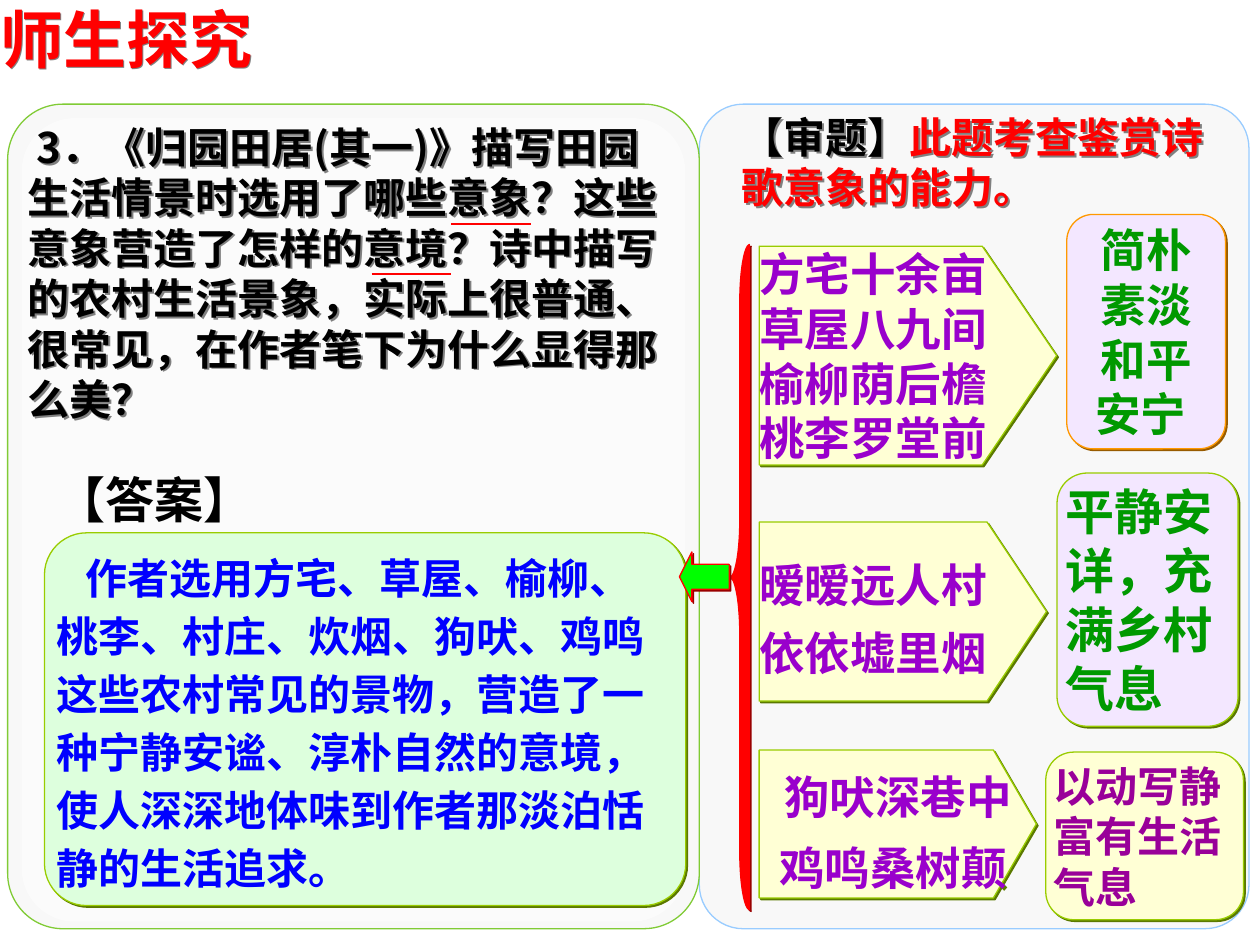
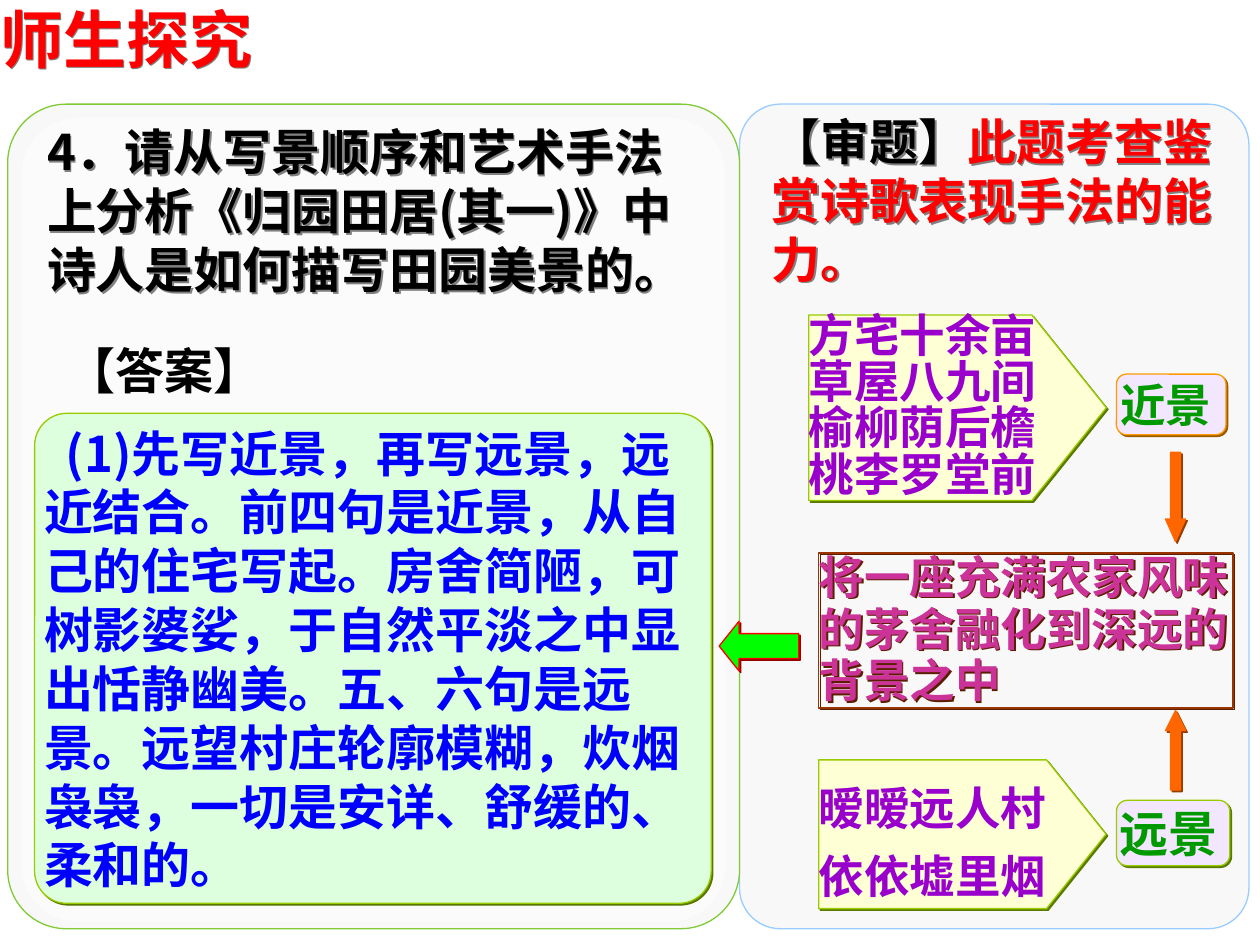
from lxml import etree
from pptx import Presentation
from pptx.dml.color import RGBColor
from pptx.enum.shapes import MSO_CONNECTOR, MSO_SHAPE
from pptx.enum.text import MSO_ANCHOR, MSO_AUTO_SIZE, PP_ALIGN
from pptx.oxml.ns import qn
from pptx.util import Pt

COLORS = {
    "red": "FF0000", "black": "000000", "white": "FFFFFF", "blue": "0000FF",
    "panel": "F8F8F8", "panel_green": "80CB35", "panel_blue": "99CCFF",
    "mint": "DDFFDD", "cream": "FFFFD5", "lilac": "F3E7FF",
    "olive": "99CC00", "olive_shadow": "5B7900",
    "amber": "FF9900", "amber_shadow": "985B00",
    "orange": "FF6600", "orange_shadow": "983C00",
    "brown": "993300", "brown_shadow": "5B1E00",
    "lime": "00FF00", "red_shadow": "990000", "text_shadow": "808080",
    "purple": "9900CC", "plum": "990099", "green": "009900", "pink": "CC3399",
}
LATIN, CHINESE = "Arial", "Noto Sans CJK SC"
NEAR_VERSES = ["方宅十余亩", "草屋八九间", "榆柳荫后檐", "桃李罗堂前"]
FAR_VERSES = ["暧暧远人村", "依依墟里烟"]


def rgb(name):
    return RGBColor.from_string(COLORS[name])


def add_shadow(shape, color):
    """Give a shape a hard shadow, down and to the right; unfilled, its text casts it."""
    shape.shadow.inherit = False
    effects = shape._element.spPr.find(qn("a:effectLst"))
    shadow = etree.SubElement(effects, qn("a:outerShdw"), blurRad="0", dist=str(Pt(1.4)),
                              dir="2700000", algn="ctr", rotWithShape="0")
    etree.SubElement(shadow, qn("a:srgbClr"), val=COLORS[color])


def write_text(shape, paragraphs, size=24, color="black", font=CHINESE, align=PP_ALIGN.LEFT,
               anchor=MSO_ANCHOR.MIDDLE, inset=(0, 0, 0, 0), spacing=None, indent=0,
               text_shadow=False):
    """Fill a shape; a paragraph is a string or a list of (text, color) runs."""
    frame = shape.text_frame
    frame.word_wrap = True
    frame.auto_size = MSO_AUTO_SIZE.NONE
    frame.vertical_anchor = anchor
    frame.margin_left, frame.margin_top, frame.margin_right, frame.margin_bottom = map(Pt, inset)
    if text_shadow:
        shape.fill.background()
        add_shadow(shape, "text_shadow")
    if isinstance(paragraphs, str):
        paragraphs = [paragraphs]
    for number, content in enumerate(paragraphs):
        paragraph = frame.add_paragraph() if number else frame.paragraphs[0]
        paragraph.alignment = align
        if spacing:
            paragraph.line_spacing = spacing
        properties = paragraph._p.get_or_add_pPr()
        properties.set("hangingPunct", "0")
        properties.set("indent", str(Pt(indent)))
        runs = [(content, color)] if isinstance(content, str) else content
        for text, run_color in runs:
            run = paragraph.add_run()
            run.text = text
            run.font.size, run.font.bold, run.font.name = Pt(size), True, font
            run.font.color.rgb = rgb(run_color)
            etree.SubElement(run._r.get_or_add_rPr(), qn("a:ea"), typeface=CHINESE)


class Deck:
    """Holds the presentation, its style and the current slide."""

    text_inset = (7.2, 3.6, 7.2, 3.6)
    panel_top, panel_height = 59.5, 471.2
    panel_left, panel_right = 4.4, 713.7
    panel_radius = 0.08

    def __init__(self):
        self.presentation = Presentation()
        self.presentation.slide_width, self.presentation.slide_height = Pt(720), Pt(540)
        self.slide = None

    def new_slide(self, title, split):
        """Start a slide with its title and two panels that meet at split."""
        self.slide = self.presentation.slides.add_slide(self.presentation.slide_layouts[5])
        heading = self.slide.shapes.title
        heading.left, heading.top, heading.width, heading.height = map(Pt, (0, 0, 241, 43))
        write_text(heading, title, size=36, color="red", font=LATIN,
                   anchor=MSO_ANCHOR.TOP, text_shadow=True)
        top, height, width = self.panel_top, self.panel_height, split - self.panel_left
        self.box((split, top, self.panel_right - split, height), "panel", "panel_blue",
                 radius=self.panel_radius)
        self.box((self.panel_left, top, width, height), "panel", "panel_green",
                 radius=self.panel_radius)
        glow = self.box((self.panel_left + 8, top + 8, width - 16, height - 12), "white", None,
                        radius=self.panel_radius)
        fill_color = glow._element.spPr.find(qn("a:solidFill"))[0]
        etree.SubElement(fill_color, qn("a:alpha"), val="50000")

    def shape(self, kind, place, fill, line, shadow=None, adjustments=()):
        shape = self.slide.shapes.add_shape(kind, *map(Pt, place))
        for index, value in enumerate(adjustments):
            shape.adjustments[index] = value
        if fill:
            shape.fill.solid()
            shape.fill.fore_color.rgb = rgb(fill)
        else:
            shape.fill.background()
        if line:
            shape.line.color.rgb = rgb(line)
            shape.line.width = Pt(0.75)
        else:
            shape.line.fill.background()
        shape.shadow.inherit = False
        if shadow:
            add_shadow(shape, shadow)
        return shape

    def box(self, place, fill, line, shadow=None, radius=0.167, text=None, **style):
        box = self.shape(MSO_SHAPE.ROUNDED_RECTANGLE, place, fill, line, shadow, [radius])
        if text:
            write_text(box, text, **style)
        return box

    def answer(self, place, radius, text, **style):
        self.box(place, "mint", "olive", "olive_shadow", radius, text, color="blue", **style)

    def verses(self, place, point, lines, **style):
        """A pentagon whose tip is point long."""
        pentagon = self.shape(MSO_SHAPE.PENTAGON, place, "cream", "olive", "olive_shadow",
                              [point / min(place[2:])])
        write_text(pentagon, lines, size=26, color="purple", **style)

    def text(self, place, text, **style):
        box = self.slide.shapes.add_textbox(*map(Pt, place))
        write_text(box, text, inset=self.text_inset, **style)

    def review(self, place, text, size):
        self.text(place, [[("【审题】", "black"), (text, "red")]], size=size, font=LATIN,
                  anchor=MSO_ANCHOR.TOP, text_shadow=True)

    def answer_label(self, left, top):
        self.text((left, top, 139, 41), "【答案】", size=28, anchor=MSO_ANCHOR.TOP)

    def result_arrow(self, place, head):
        self.shape(MSO_SHAPE.LEFT_ARROW, place, "lime", "red", "red_shadow", [0.5, head])

    def scene_arrow(self, kind, top, height, head):
        self.shape(kind, (666, top, 11.5, height), "orange", "orange", "orange_shadow",
                   [0.5, head])

    def underline(self, left, top, width):
        line = self.slide.shapes.add_connector(
            MSO_CONNECTOR.STRAIGHT, *map(Pt, (left, top, left + width, top)))
        line.line.color.rgb = rgb("red")
        line.line.width = Pt(1)
        etree.SubElement(line._element.spPr, qn("a:effectLst"))


def build_imagery_slide(deck):
    deck.new_slide("师生探究", split=399.6)

    # Question and answer
    deck.answer((25.4, 304.5, 366.5, 213), 0.113,
                "作者选用方宅、草屋、榆柳、桃李、村庄、炊烟、狗吠、鸡鸣这些农村常见的景物，"
                "营造了一种宁静安谧、淳朴自然的意境，使人深深地体味到作者那淡泊恬静的生活追求。",
                font=LATIN, spacing=1.15, indent=16.5)
    deck.text((8.6, 65.8, 380, 180),
              "3．《归园田居(其一)》描写田园生活情景时选用了哪些意象？这些意象营造了怎样的意境？"
              "诗中描写的农村生活景象，实际上很普通、很常见，在作者笔下为什么显得那么美？",
              indent=5.4, text_shadow=True)
    deck.answer_label(25.2, 264.5)
    deck.underline(257.8, 128.2, 45.4)
    deck.underline(212.4, 156.7, 45.4)

    # Verses and the mood of each group
    deck.review((416.7, 60.2, 294.5, 65), "此题考查鉴赏诗歌意象的能力。", 24)
    deck.verses((433.8, 140.7, 170, 125), 42.5, NEAR_VERSES, font=LATIN)
    deck.verses((433.8, 298.3, 164.2, 102.3), 34, FAR_VERSES, spacing=1.25)
    deck.verses((433.8, 428.6, 158.4, 84.5), 24.5, ["狗吠深巷中", "鸡鸣桑树颠 "],
                align=PP_ALIGN.CENTER, spacing=1.3, inset=(10, 0, -3, 0))
    deck.box((609.6, 122.5, 90.7, 134), "lilac", "amber", "amber_shadow",
             text=["简朴", "素淡", "和平", "安宁 "], size=26, color="green",
             align=PP_ALIGN.CENTER)
    deck.box((604, 270.3, 103.5, 144.7), "lilac", "olive", "olive_shadow",
             text="平静安详，充满乡村气息", size=28, color="green")
    deck.box((597.6, 429.8, 113, 95.8), "cream", "olive", "olive_shadow",
             text="以动写静富有生活气息", color="plum", font=LATIN)

    # Brace that leads to the answer
    deck.shape(MSO_SHAPE.LEFT_BRACE, (417, 139.7, 11.5, 380.2), "red", "red", "red_shadow",
               [2.88, 0.5])
    deck.result_arrow((388.3, 315.4, 28.4, 28.4), 0.25)


def build_scenery_slide(deck):
    deck.new_slide("师生探究", split=422.6)

    # Question and answer
    deck.answer((19.8, 236.2, 386.6, 280), 0.066,
                "(1)先写近景，再写远景，远近结合。前四句是近景，从自己的住宅写起。房舍简陋，"
                "可树影婆娑，于自然平淡之中显出恬静幽美。五、六句是远景。远望村庄轮廓模糊，"
                "炊烟袅袅，一切是安详、舒缓的、柔和的。", size=28, indent=12.5)
    deck.text((19.8, 49, 391, 142),
              "4．请从写景顺序和艺术手法上分析《归园田居(其一)》中诗人是如何描写田园美景的。",
              size=28, text_shadow=True)
    deck.answer_label(31, 190.8)

    # Near and far scenes
    deck.review((433.9, 60.2, 269.3, 108), "此题考查鉴赏诗歌表现手法的能力。", 28)
    deck.verses((462.2, 180, 170, 106), 42.5, NEAR_VERSES, font=LATIN, spacing=0.85)
    deck.verses((467.8, 434.2, 164.2, 85), 34, FAR_VERSES, spacing=1.25)
    deck.box((638, 213.8, 62.6, 34.6), "lilac", "amber", "amber_shadow", text="近景 ",
             size=26, color="green", align=PP_ALIGN.CENTER)
    deck.box((638, 457.3, 64.8, 37.4), "lilac", "olive", "olive_shadow", text="远景",
             size=28, color="green")

    # How the scenes merge
    merged = deck.shape(MSO_SHAPE.RECTANGLE, (467.8, 316, 236.8, 88.6), None, "brown",
                        "brown_shadow")
    write_text(merged, "将一座充满农家风味的茅舍融化到深远的背景之中", size=26, color="pink",
               spacing=0.95)
    deck.scene_arrow(MSO_SHAPE.DOWN_ARROW, 258.5, 51, 1.12)
    deck.scene_arrow(MSO_SHAPE.UP_ARROW, 406, 45.4, 1)
    deck.result_arrow((411, 355, 45.4, 28.4), 0.4)


def main():
    deck = Deck()
    build_imagery_slide(deck)
    build_scenery_slide(deck)
    deck.presentation.save("out.pptx")


if __name__ == "__main__":
    main()
